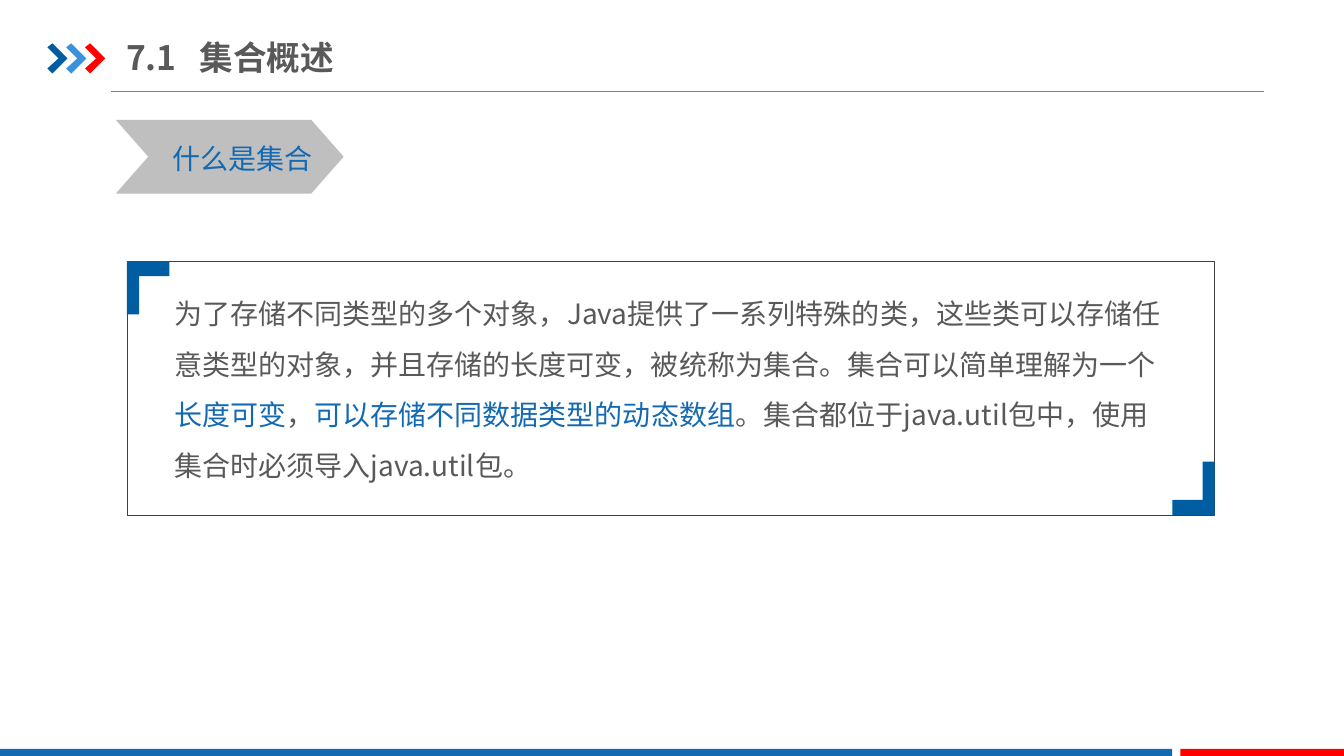
from lxml.etree import SubElement
from pptx import Presentation
from pptx.dml.color import RGBColor
from pptx.enum.shapes import MSO_CONNECTOR, MSO_SHAPE
from pptx.enum.text import MSO_ANCHOR, MSO_AUTO_SIZE, PP_ALIGN
from pptx.oxml.ns import qn
from pptx.util import Inches, Pt

# Content: runs are (text, colour name)
TITLE = [("7.1\t集合概述", "text")]
TOPIC = [("什么是集合", "blue")]
BODY = [
    ("为了存储不同类型的多个对象，Java提供了一系列特殊的类，这些类可以存储"
     "任意类型的对象，并且存储的长度可变，被统称为集合。集合可以简单理解为一个", "text"),
    ("长度可变", "blue"),
    ("，", "text"),
    ("可以存储不同数据类型的动态数组", "blue"),
    ("。集合都位于java.util包中，使用集合时必须导入java.util包。", "text"),
]
FONT = "Noto Sans CJK SC"
COLORS = {
    "text": "595959", "blue": "1369B2", "navy": "005DA2", "sky": "3992DB",
    "red": "FF0000", "rule": "808080", "tag": "BFBFBF", "frame": "404040",
}

# Grid: cells of a tenth of an inch
COLS, ROWS = 133.33, 75
FRAME = (12.6, 25.9, 107.9, 25.2)
CHEVRON = [(0, 0.4), (0.5, 0), (2, 1.5), (0.5, 3), (0, 2.5), (1.1, 1.5)]
CORNER = [(0, 0), (4.2, 0), (4.2, 1.5), (1.2, 1.5), (1.2, 5.3), (0, 5.3)]


def cells(*values):
    return [Inches(v / 10) for v in values]


def color(name):
    return RGBColor.from_string(COLORS[name])


def paint(sp, fill=None, line=None, width=0.75):
    sp.shadow.inherit = False
    if fill:
        sp.fill.solid()
        sp.fill.fore_color.rgb = color(fill)
    else:
        sp.fill.background()
    if line:
        sp.line.color.rgb = color(line)
        sp.line.width = Pt(width)
    else:
        sp.line.fill.background()


def add_box(kind, box, **style):
    sp = slide.shapes.add_shape(kind, *cells(*box))
    paint(sp, **style)
    return sp


def add_outline(points, x, y, fill, sign=1):
    corners = [cells(x + sign * dx, y + sign * dy) for dx, dy in points]
    builder = slide.shapes.build_freeform(*corners[0], scale=1.0)
    builder.add_line_segments(corners[1:], close=True)
    paint(builder.convert_to_shape(), fill)


def write(sp, runs, size=20, bold=False, wrap=True, spacing=None, tab=None,
          anchor=MSO_ANCHOR.TOP, margins=(1, 0.5), fit=MSO_AUTO_SIZE.NONE):
    tf = sp.text_frame
    tf.word_wrap, tf.auto_size, tf.vertical_anchor = wrap, fit, anchor
    tf.margin_left = tf.margin_right = cells(margins[0])[0]
    tf.margin_top = tf.margin_bottom = cells(margins[1])[0]
    p = tf.paragraphs[0]
    p.alignment = PP_ALIGN.LEFT
    if spacing:
        p.line_spacing = spacing
    if tab:
        tabs = SubElement(p._p.get_or_add_pPr(), qn("a:tabLst"))
        SubElement(tabs, qn("a:tab"), pos=str(cells(tab)[0]), algn="l")
    for text, name in runs:
        r = p.add_run()
        r.text = text
        r.font.size, r.font.bold, r.font.name = Pt(size), bold, FONT
        r.font.color.rgb = color(name)
        SubElement(r._r.get_or_add_rPr(), qn("a:ea"), typeface=FONT)


prs = Presentation()
prs.slide_width, prs.slide_height = cells(COLS, ROWS)
slide = prs.slides.add_slide(prs.slide_layouts[5])

# Header: title, rule and three arrows
title = slide.shapes.title
title.left, title.top, title.width, title.height = cells(12.5, 2.9, 42.6, 5.5)
write(title, TITLE, size=24, bold=True, tab=7.3,
      anchor=MSO_ANCHOR.MIDDLE, margins=(0, 0.7))
rule = slide.shapes.add_connector(MSO_CONNECTOR.STRAIGHT,
                                  *cells(11, 9.1, 125.4, 9.1))
rule.line.color.rgb = color("rule")
rule.line.width = Pt(0.75)
SubElement(rule._element.spPr, qn("a:effectLst"))
for i, name in enumerate(["navy", "sky", "red"]):
    add_outline(CHEVRON, 4.7 + 1.87 * i, 4.3, name)

# Footer bars
for left, right, name in [(0, 116.3, "blue"), (117.1, COLS, "red")]:
    add_box(MSO_SHAPE.RECTANGLE, (left, 74.3, right - left, 0.7), fill=name)

# Topic tag
tag = add_box(MSO_SHAPE.CHEVRON, (11.5, 11.9, 22.6, 7.3), fill="tag")
tag.adjustments[0] = 0.44
topic = slide.shapes.add_textbox(*cells(16.1, 13.5, 15.9, 4.4))
write(topic, TOPIC, wrap=False, fit=MSO_AUTO_SIZE.SHAPE_TO_FIT_TEXT)

# Definition, its frame and two opposite corners
body = slide.shapes.add_textbox(*cells(16.3, 27.3, 100.8, 22.4))
write(body, BODY, spacing=1.5)
frame = add_box(MSO_SHAPE.ROUNDED_RECTANGLE, FRAME, line="frame", width=0.25)
frame.adjustments[0] = 0
x, y, w, h = FRAME
add_outline(CORNER, x, y, "navy")
add_outline(CORNER, x + w, y + h, "navy", sign=-1)

prs.save("out.pptx")
